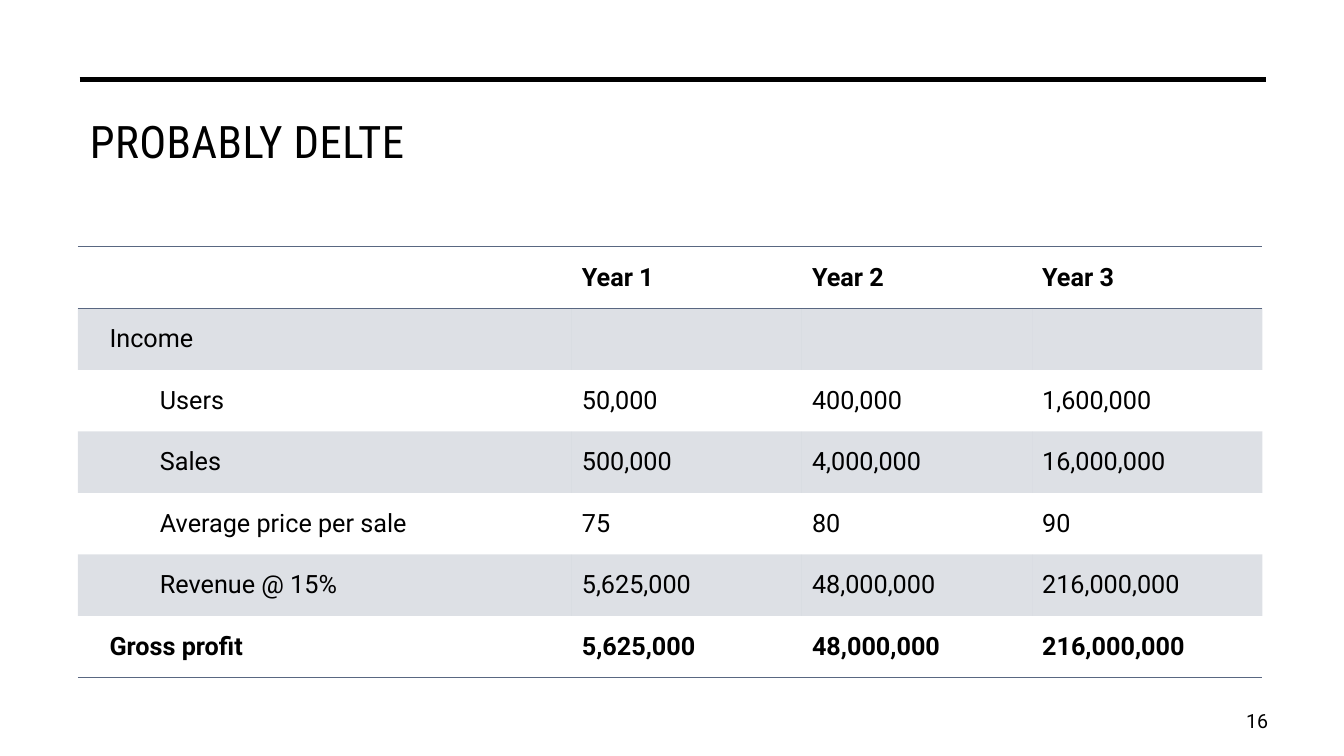
import pptx
import pptx.dml.color
import pptx.enum.shapes
import pptx.enum.text
import pptx.oxml
import pptx.oxml.ns
import pptx.util
from lxml import etree

Cm = pptx.util.Cm
Pt = pptx.util.Pt
ANCHOR = pptx.enum.text.MSO_ANCHOR
ALIGN = pptx.enum.text.PP_ALIGN
qn = pptx.oxml.ns.qn

COLORS = {"ink": "000000", "slate": "596781"}
PLAIN = "{2D5ABB26-0587-4C30-8999-92F81FD0307C}"  # no style, no grid
ROWS = [
    ("", "Year 1", "Year 2", "Year 3"),
    ("Income", "", "", ""),
    ("Users", "50,000", "400,000", "1,600,000"),
    ("Sales", "500,000", "4,000,000", "16,000,000"),
    ("Average price per sale", "75", "80", "90"),
    ("Revenue @ 15%", "5,625,000", "48,000,000", "216,000,000"),
    ("Gross profit", "5,625,000", "48,000,000", "216,000,000"),
]
WIDTHS = [12.45, 5.8, 5.8, 5.8]
HEIGHT = 1.55
LAST = len(ROWS) - 1


def rgb(name):
    return pptx.dml.color.RGBColor.from_string(COLORS[name])


def write(frame, text, size=18, font="Roboto", bold=False, align=ALIGN.LEFT,
          space=0, indent=0):
    """Fill a text frame; space is in points, indent in centimetres."""
    para = frame.paragraphs[0]
    para.alignment = align
    if indent:
        para.level = 1
        props = para._p.get_or_add_pPr()
        props.set("marL", str(Cm(indent)))
        props.set("indent", "0")
    run = para.add_run()
    run.text = text
    run.font.size = Pt(size)
    run.font.name = font
    run.font.bold = bold
    run.font.color.rgb = rgb("ink")
    if space:
        run._r.get_or_add_rPr().set("spc", str(round(space * 100)))


def add_rule(slide, left, right, top, width):
    line = slide.shapes.add_connector(
        pptx.enum.shapes.MSO_CONNECTOR.STRAIGHT,
        Cm(left), Cm(top), Cm(right), Cm(top))
    line.line.color.rgb = rgb("ink")
    line.line.width = Pt(width)
    etree.SubElement(line._element.spPr, qn("a:effectLst"))


def set_edge(cell, tag):
    props = cell._tc.get_or_add_tcPr()
    edge = etree.SubElement(props, qn(tag), w=str(Pt(1)))
    fill = etree.SubElement(edge, qn("a:solidFill"))
    etree.SubElement(fill, qn("a:srgbClr"), val=COLORS["slate"])


def set_fill(cell, shaded):
    if not shaded:
        cell.fill.background()
        return
    cell.fill.solid()
    cell.fill.fore_color.rgb = rgb("slate")
    color = cell._tc.tcPr.find(".//" + qn("a:srgbClr") + "[last()]")
    color = cell._tc.tcPr.find(qn("a:solidFill")).find(qn("a:srgbClr"))
    etree.SubElement(color, qn("a:alpha"), val="20000")


def fill_cell(cell, text, row, col):
    cell.vertical_anchor = ANCHOR.MIDDLE
    if col == 0 and row:
        cell.margin_left = Cm(0.8)
    if row == 0:
        set_edge(cell, "a:lnT")
    if row in (0, LAST):
        set_edge(cell, "a:lnB")
    set_fill(cell, row % 2 == 1)
    if text:
        nested = col == 0 and 1 < row < LAST
        write(cell.text_frame, text, bold=row in (0, LAST),
              indent=1.27 if nested else 0)


def add_grid(slide):
    table = slide.shapes.add_table(
        len(ROWS), len(WIDTHS), Cm(1.96), Cm(6.22),
        Cm(sum(WIDTHS)), Cm(HEIGHT * len(ROWS))).table
    table.horz_banding = False
    table._tbl.tblPr.find(qn("a:tableStyleId")).text = PLAIN
    for column, width in zip(table.columns, WIDTHS):
        column.width = Cm(width)
    for row, values in enumerate(ROWS):
        table.rows[row].height = Cm(HEIGHT)
        for col, text in enumerate(values):
            fill_cell(table.cell(row, col), text, row, col)


def set_title(slide, text):
    title = slide.shapes.title
    title.left, title.top = Cm(2.01), Cm(2.74)
    title.width, title.height = Cm(29.97), Cm(2.92)
    title.text_frame.vertical_anchor = ANCHOR.TOP
    write(title.text_frame, text, size=32, font="Roboto Condensed", space=0.3)


def add_number(slide, text):
    box = slide.shapes.add_textbox(Cm(30.33), Cm(17.65), Cm(1.88), Cm(1.02))
    box.text_frame.word_wrap = True
    box.text_frame.vertical_anchor = ANCHOR.MIDDLE
    write(box.text_frame, text, size=14, align=ALIGN.RIGHT)


def main():
    deck = pptx.Presentation()
    deck.slide_width, deck.slide_height = Cm(33.87), Cm(19.05)
    slide = deck.slides.add_slide(deck.slide_layouts[5])
    add_rule(slide, 2.24, 31.65, 17.07, 1)
    add_rule(slide, 2.01, 31.9, 2.01, 3.5)
    set_title(slide, "PROBABLY DELTE")
    add_grid(slide)
    add_number(slide, "16")
    deck.save("out.pptx")


if __name__ == "__main__":
    main()
